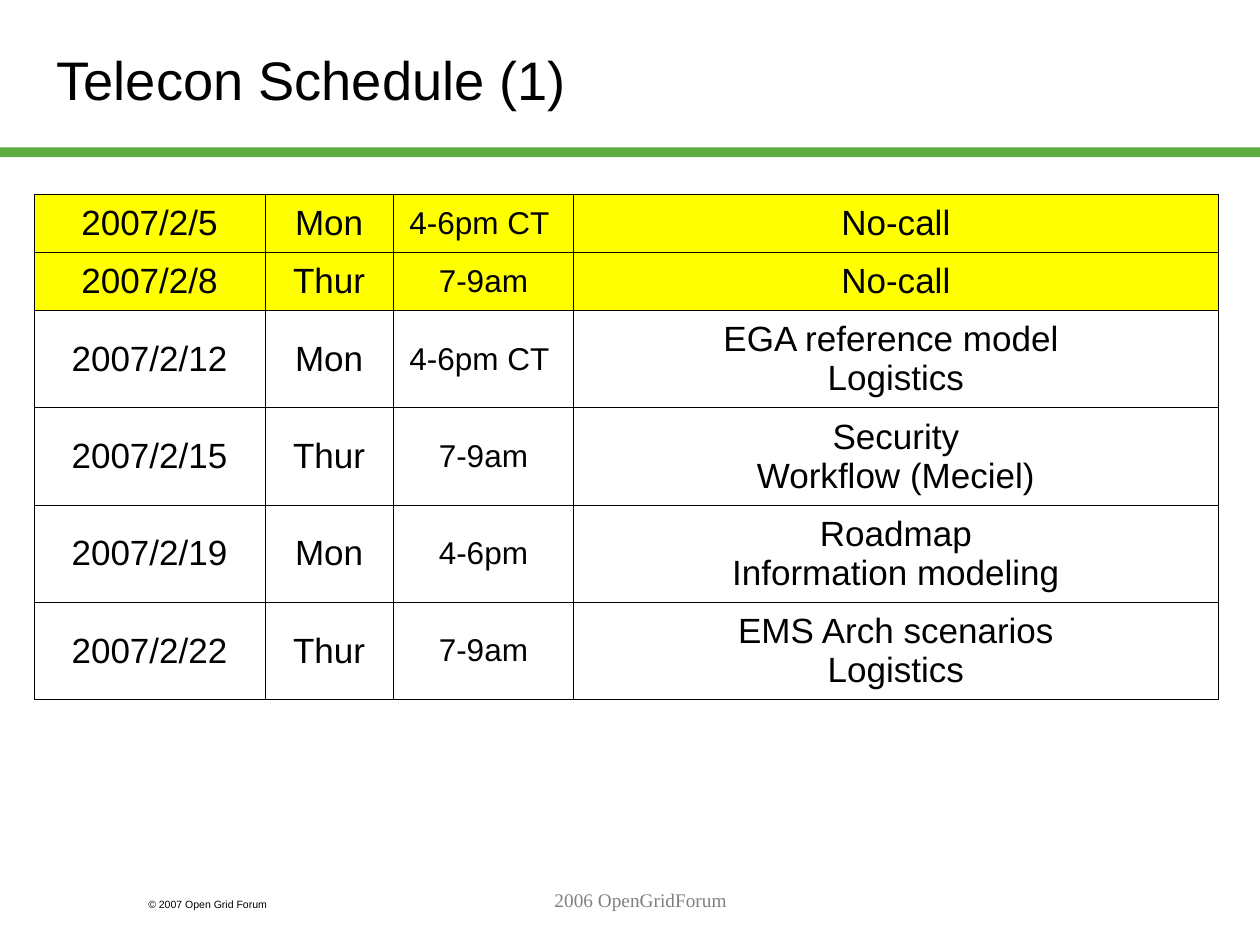
from dataclasses import dataclass

from pptx import Presentation
from pptx.dml.color import RGBColor as Rgb
from pptx.enum import shapes, text
from pptx.oxml.ns import qn
from pptx.util import Cm, Pt
from lxml import etree


@dataclass(frozen=True)
class Theme:
    sans: str = "Arial"
    serif: str = "Times New Roman"
    ink: str = "000000"
    grey: str = "808080"
    green: str = "5DAD41"
    mark: str = "FFFF00"
    paper: str = "FFFFFF"
    title: float = 31
    body: float = 20
    time: float = 18
    foot: float = 11
    legal: float = 6
    rule: float = 0.45


THEME = Theme()
COLS = (4.65, 2.59, 3.63, 13)
LOW, TALL = 1.17, 1.96  # heights of rows with one and two lines
CALLS = (
    ("2007/2/5", "Mon", "4-6pm CT ", "No-call"),
    ("2007/2/8", "Thur", "7-9am", "No-call"),
    ("2007/2/12", "Mon", "4-6pm CT ", "EGA reference model \nLogistics"),
    ("2007/2/15", "Thur", "7-9am", "Security\nWorkflow (Meciel)"),
    ("2007/2/19", "Mon", "4-6pm", "Roadmap\nInformation modeling"),
    ("2007/2/22", "Thur", "7-9am", "EMS Arch scenarios\nLogistics"),
)


def write(frame, words, size, face=THEME.sans, tint=THEME.ink,
          align=text.PP_ALIGN.LEFT):
    frame.word_wrap = True
    frame.text = words
    for para in frame.paragraphs:
        para.alignment = align
        para.font.size = Pt(size)
        para.font.name = face
        para.font.color.rgb = Rgb.from_string(tint)


def edge(cell):
    """Draw the four borders of a cell."""
    props = cell._tc.get_or_add_tcPr()
    for side in ("lnL", "lnR", "lnT", "lnB"):
        line = etree.SubElement(props, qn("a:" + side), w=str(Pt(THEME.rule)))
        fill = etree.SubElement(line, qn("a:solidFill"))
        etree.SubElement(fill, qn("a:srgbClr"), val=THEME.ink)


def header(slide, x, y, w, h):
    title = slide.shapes.title
    title.left, title.top = Cm(x + 0.89), Cm(y + 0.43)
    title.width, title.height = Cm(w - 2.79), Cm(2.31)
    frame = title.text_frame
    frame.auto_size = text.MSO_AUTO_SIZE.NONE
    frame.vertical_anchor = text.MSO_ANCHOR.MIDDLE
    write(frame, "Telecon Schedule (1)", THEME.title)

    thick = 0.2
    bar = slide.shapes.add_shape(shapes.MSO_SHAPE.RECTANGLE, Cm(x),
                                 Cm(y + h - thick), Cm(w), Cm(thick))
    bar.shadow.inherit = False
    bar.fill.solid()
    bar.fill.fore_color.rgb = Rgb.from_string(THEME.green)
    bar.line.fill.background()


def schedule(slide, x, y):
    highs = [TALL if "\n" in call[-1] else LOW for call in CALLS]
    grid = slide.shapes.add_table(len(CALLS), len(COLS), Cm(x), Cm(y),
                                  Cm(sum(COLS)), Cm(sum(highs))).table
    grid.first_row = grid.horz_banding = False
    for col, wide in zip(grid.columns, COLS):
        col.width = Cm(wide)
    for row, high, call in zip(grid.rows, highs, CALLS):
        row.height = Cm(high)
        tint = THEME.mark if call[-1] == "No-call" else THEME.paper
        for num, (cell, words) in enumerate(zip(row.cells, call)):
            edge(cell)
            cell.fill.solid()
            cell.fill.fore_color.rgb = Rgb.from_string(tint)
            cell.vertical_anchor = text.MSO_ANCHOR.MIDDLE
            size = THEME.time if num == 2 else THEME.body
            write(cell.text_frame, words, size, align=text.PP_ALIGN.CENTER)


def footer(slide, x, y):
    legal = slide.shapes.add_textbox(Cm(x + 2.74), Cm(y + 0.2),
                                     Cm(3.81), Cm(0.51))
    write(legal.text_frame, "© 2007 Open Grid Forum", THEME.legal)
    forum = slide.shapes.add_textbox(Cm(x + 5.51), Cm(y),
                                     Cm(14.81), Cm(1.27))
    write(forum.text_frame, "2006 OpenGridForum", THEME.foot, THEME.serif,
          THEME.grey, text.PP_ALIGN.CENTER)


def main():
    deck = Presentation()
    deck.slide_width, deck.slide_height = Cm(25.4), Cm(19.05)
    slide = deck.slides.add_slide(deck.slide_layouts[5])
    header(slide, 0, 0, 25.4, 3.17)
    schedule(slide, 0.69, 3.92)
    footer(slide, 0, 17.78)
    deck.save("out.pptx")


if __name__ == "__main__":
    main()
